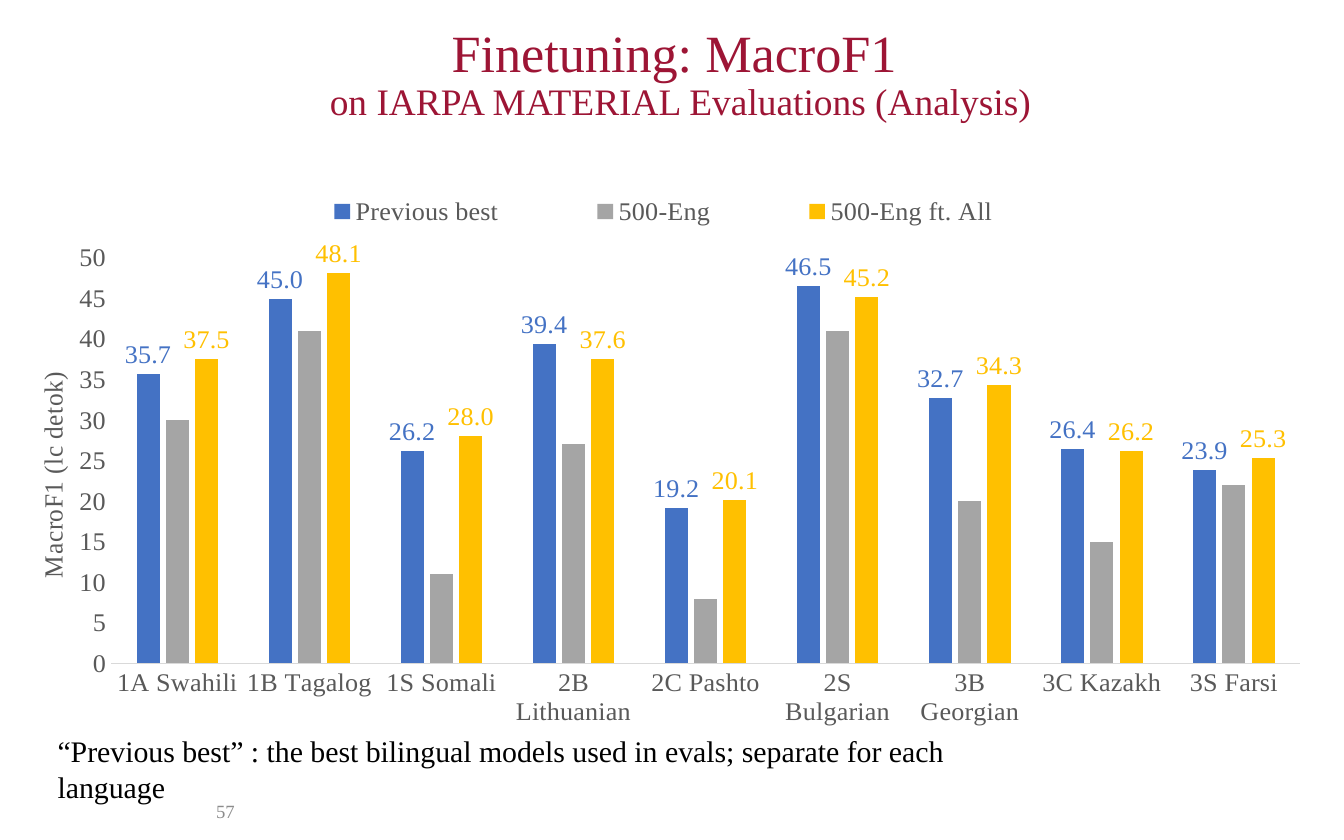
import pptx
import pptx.chart.data
import pptx.dml.color
import pptx.enum.chart
import pptx.enum.text
import pptx.oxml
import pptx.oxml.ns
import pptx.util

RGB = pptx.dml.color.RGBColor
WHITE = RGB(0xFF, 0xFF, 0xFF)
BLACK = RGB(0x00, 0x00, 0x00)
CRIMSON = RGB(0x9D, 0x15, 0x35)
DARK_GRAY = RGB(0x59, 0x59, 0x59)
PAGE_GRAY = RGB(0x8C, 0x8C, 0x8C)
AXIS_GRAY = RGB(0xD9, 0xD9, 0xD9)
BLUE = RGB(0x44, 0x72, 0xC4)
GRAY = RGB(0xA5, 0xA5, 0xA5)
GOLD = RGB(0xFF, 0xC0, 0x00)

LANGUAGES = ["1A Swahili", "1B Tagalog", "1S Somali", "2B Lithuanian", "2C Pashto",
             "2S Bulgarian", "3B Georgian", "3C Kazakh", "3S Farsi"]
# name, values, colour, labelled
SERIES = [
    ("Previous best", [35.7, 45, 26.2, 39.4, 19.2, 46.5, 32.7, 26.4, 23.9], BLUE, True),
    ("500-Eng", [30, 41, 11, 27, 8, 41, 20, 15, 22], GRAY, False),
    ("500-Eng ft. All", [37.5, 48.1, 28, 37.6, 20.1, 45.2, 34.3, 26.2, 25.3], GOLD, True),
]


def set_layout(parent, index, inner=False, **percents):
    """Place a chart part by percentages of the chart's size."""
    for old in parent.findall(pptx.oxml.ns.qn("c:layout")):
        parent.remove(old)
    target = '<c:layoutTarget val="inner"/>' if inner else ""
    modes = "".join(f'<c:{k}Mode val="edge"/>' for k in "xy")
    sizes = "".join(f'<c:{k} val="{v / 100:.4f}"/>' for k, v in percents.items())
    parent.insert(index, pptx.oxml.parse_xml(
        f'<c:layout {pptx.oxml.ns.nsdecls("c")}><c:manualLayout>'
        f'{target}{modes}{sizes}</c:manualLayout></c:layout>'))


class Deck:
    font = "Times New Roman"
    chart_size = 14

    def __init__(self, prs):
        self.prs = prs
        self.s = prs.slides.add_slide(prs.slide_layouts[6])
        self.s.background.fill.solid()
        self.s.background.fill.fore_color.rgb = WHITE

    def box(self, x, y, w, h):
        """Turn percentages of the slide into lengths."""
        width, height = self.prs.slide_width, self.prs.slide_height
        return [int(share * full / 100) for share, full in
                ((x, width), (y, height), (w, width), (h, height))]

    def style(self, font, size, color):
        font.name = self.font
        font.size = pptx.util.Pt(size)
        font.bold = False
        font.color.rgb = color

    def text(self, area, text, sizes, color, align="LEFT", anchor="TOP", spacing=1.0):
        tf = self.s.shapes.add_textbox(*self.box(*area)).text_frame
        tf.word_wrap = True
        tf.vertical_anchor = pptx.enum.text.MSO_ANCHOR[anchor]
        p = tf.paragraphs[0]
        p.text = text
        p.alignment = pptx.enum.text.PP_ALIGN[align]
        p.line_spacing = spacing
        for r, size in zip(p.runs, sizes):
            self.style(r.font, size, color)

    def column_chart(self, area, categories, series, axis_title):
        data = pptx.chart.data.CategoryChartData(number_format="0.0")
        data.categories = categories
        for name, values, *_ in series:
            data.add_series(name, values)
        kind = pptx.enum.chart.XL_CHART_TYPE.COLUMN_CLUSTERED
        chart = self.s.shapes.add_chart(kind, *self.box(*area), data).chart
        chart.has_title = False
        self.style(chart.font, self.chart_size, BLACK)

        # Columns and their labels
        plot = chart.plots[0]
        plot.vary_by_categories = False
        plot.gap_width, plot.overlap = 219, -27
        for column, (_, _, color, labelled) in zip(plot.series, series):
            column.format.fill.solid()
            column.format.fill.fore_color.rgb = color
            if labelled:
                labels = column.data_labels
                labels.show_value = True
                labels.number_format = "0.0"
                labels.number_format_is_linked = False
                labels.position = pptx.enum.chart.XL_LABEL_POSITION.OUTSIDE_END
                self.style(labels.font, self.chart_size, color)
        plot_area = chart.element.find(".//" + pptx.oxml.ns.qn("c:plotArea"))
        set_layout(plot_area, 0, inner=True, x=6.3, y=14.1, w=93.1, h=77.2)

        # Axes
        cat, val = chart.category_axis, chart.value_axis
        for axis in (cat, val):
            axis.has_major_gridlines = False
            axis.major_tick_mark = pptx.enum.chart.XL_TICK_MARK.NONE
            axis.minor_tick_mark = pptx.enum.chart.XL_TICK_MARK.NONE
            self.style(axis.tick_labels.font, self.chart_size, DARK_GRAY)
        cat.format.line.color.rgb = AXIS_GRAY
        cat.format.line.width = pptx.util.Pt(0.75)
        val.format.line.fill.background()
        val.minimum_scale, val.maximum_scale, val.major_unit = 0, 50, 5
        val.tick_labels.number_format = "0"
        val.tick_labels.number_format_is_linked = False

        # Value axis title, turned upwards at the chart's left edge
        tf = val.axis_title.text_frame
        tf.text = axis_title
        self.style(tf.paragraphs[0].runs[0].font, self.chart_size, DARK_GRAY)
        title = plot_area.find(".//" + pptx.oxml.ns.qn("c:title"))
        body = title.find(".//" + pptx.oxml.ns.qn("a:bodyPr"))
        body.set("rot", "-5400000")
        body.set("vert", "horz")
        set_layout(title, 1, x=0, y=36)

        # Legend above the columns
        chart.has_legend = True
        legend = chart.legend
        legend.position = pptx.enum.chart.XL_LEGEND_POSITION.BOTTOM
        legend.include_in_layout = False
        self.style(legend.font, self.chart_size, DARK_GRAY)
        set_layout(chart.element.find(".//" + pptx.oxml.ns.qn("c:legend")), 1,
                   x=16.7, y=1, w=65.7, h=8.5)


def main():
    prs = pptx.Presentation()
    prs.slide_width = pptx.util.Inches(10)
    prs.slide_height = pptx.util.Inches(6.25)
    deck = Deck(prs)

    # Page number
    deck.text((15.1, 94.9, 9.4, 3.4), "57", [10], PAGE_GRAY, anchor="MIDDLE")
    # Scores by language
    deck.column_chart((2.3, 21.9, 95, 64.5), LANGUAGES, SERIES, "MacroF1 (lc detok)")
    # Title
    deck.text((2.3, 2.3, 96.7, 13.4),
              "Finetuning: MacroF1 \von IARPA MATERIAL Evaluations (Analysis)",
              [28, 20], CRIMSON, align="CENTER", anchor="MIDDLE", spacing=0.9)
    # Note on the baseline
    deck.text((3.3, 86.4, 74.2, 5.9),
              "“Previous best” : the best bilingual models used in evals; "
              "separate for each language", [16], BLACK)

    prs.save("out.pptx")


if __name__ == "__main__":
    main()
